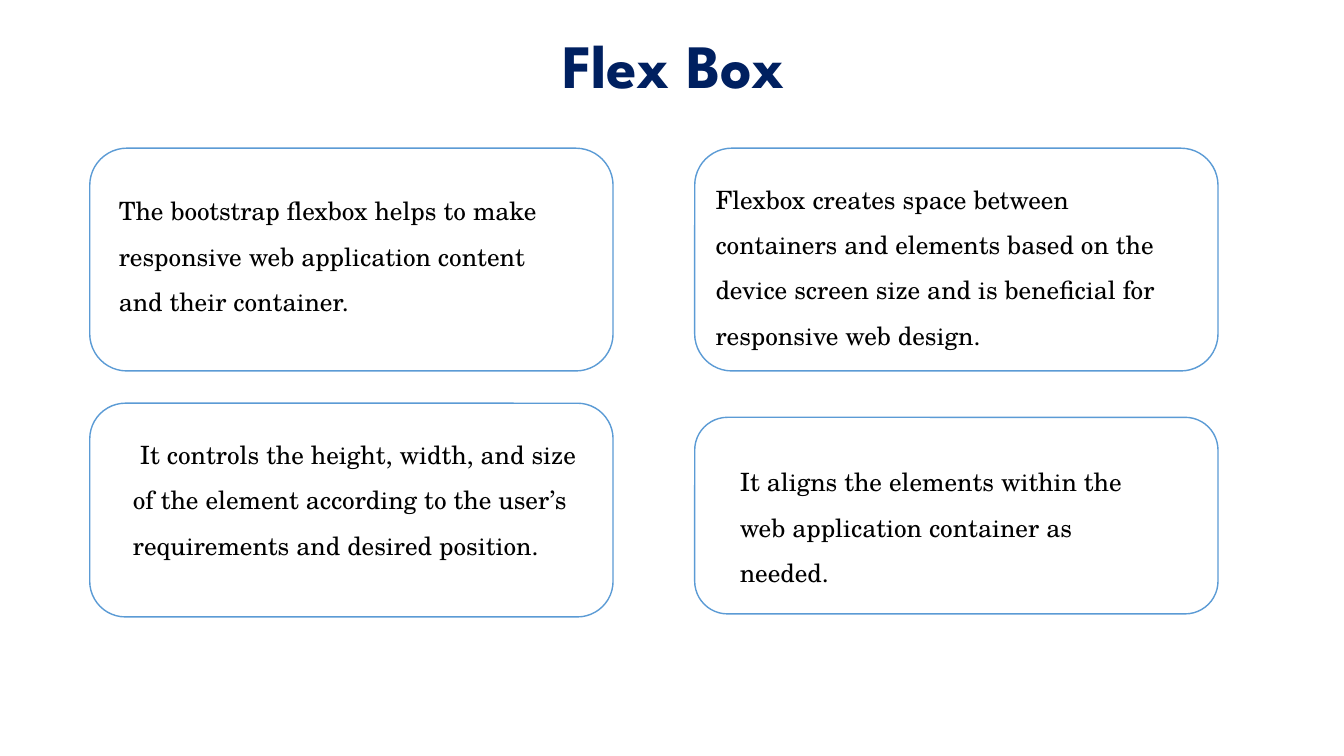
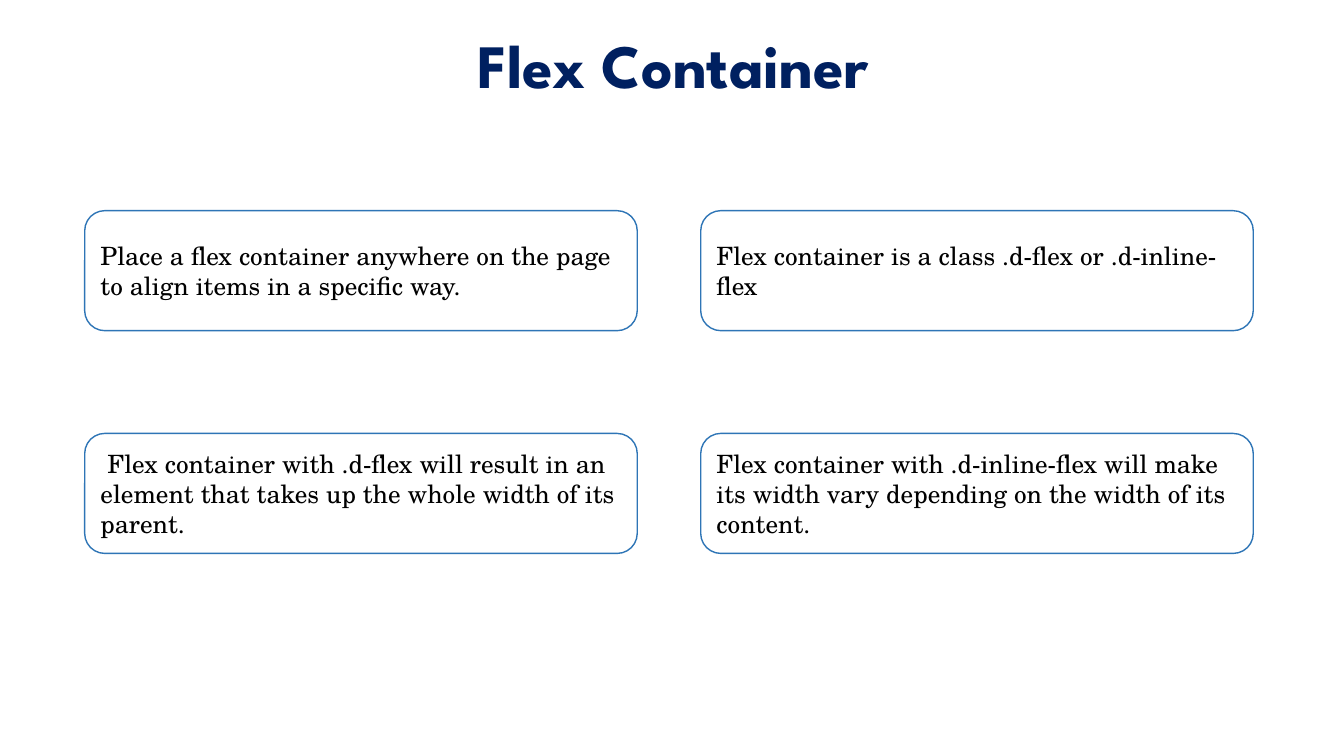
from dataclasses import dataclass

from pptx import Presentation
from pptx.dml.color import RGBColor
from pptx.enum import shapes, text
from pptx.util import Inches, Pt


@dataclass(frozen=True)
class Theme:
    title_font: str = "League Spartan"
    body_font: str = "TeX Gyre Schola"
    title_size: int = 44
    body_size: int = 18
    navy: str = "002060"
    ink: str = "000000"
    white: str = "FFFFFF"
    light_blue: str = "5B9BD5"
    blue: str = "2E75B6"
    line_width: int = 1


THEME = Theme()
TITLE_BOX = (1.68, 0.22, 10, 0.84)


def rgb(value):
    return RGBColor.from_string(value)


def write(sp, words, *, font=THEME.body_font, size=THEME.body_size, color=THEME.ink,
          bold=False, align=text.PP_ALIGN.LEFT, anchor=text.MSO_ANCHOR.TOP, spacing=1.0):
    tf = sp.text_frame
    tf.word_wrap = True
    tf.vertical_anchor = anchor
    p = tf.paragraphs[0]
    p.alignment = align
    p.line_spacing = spacing
    r = p.add_run()
    r.text = words
    r.font.name = font
    r.font.size = Pt(size)
    r.font.bold = bold
    r.font.color.rgb = rgb(color)


def add_text(slide, box, words, **fmt):
    sp = slide.shapes.add_textbox(*map(Inches, box))
    write(sp, words, **fmt)
    return sp


def add_card(slide, box, line, fill=None):
    sp = slide.shapes.add_shape(shapes.MSO_SHAPE.ROUNDED_RECTANGLE, *map(Inches, box))
    sp.shadow.inherit = False
    if fill:
        sp.fill.solid()
        sp.fill.fore_color.rgb = rgb(fill)
    else:
        sp.fill.background()
    sp.line.color.rgb = rgb(line)
    sp.line.width = Pt(THEME.line_width)
    return sp


def add_titled_slide(prs, title):
    slide = prs.slides.add_slide(prs.slide_layouts[6])
    sp = add_text(slide, TITLE_BOX, title, font=THEME.title_font, size=THEME.title_size,
                  color=THEME.navy, bold=True, align=text.PP_ALIGN.CENTER)
    sp.text_frame.auto_size = text.MSO_AUTO_SIZE.SHAPE_TO_FIT_TEXT
    return slide


def flex_box_slide(prs):
    slide = add_titled_slide(prs, "Flex Box")
    left, right, width = 0.89, 6.89, 5.19
    # card box, words, text box offset and size within the card (None: text in the card)
    cards = [
        ((left, 1.47, width, 2.21),
         "The bootstrap flexbox helps to make responsive web application content "
         "and their container.",
         (0.19, 0.27, 4.62, 1.6)),
        ((left, 4, width, 2.12),
         " It controls the height, width, and size of the element according to the "
         "user’s requirements and desired position.",
         (0.33, 0.16, 4.73, 1.81)),
        ((right, 1.47, width, 2.21),
         "Flexbox creates space between containers and elements based on the device "
         "screen size and is beneficial for responsive web design.",
         None),
        ((right, 4.14, width, 1.95),
         "It aligns the elements within the web application container as needed.",
         (0.35, 0.29, 4.44, 1.25)),
    ]
    for box, words, inner in cards:
        card = add_card(slide, box, THEME.light_blue)
        if inner:
            dx, dy, w, h = inner
            add_text(slide, (box[0] + dx, box[1] + dy, w, h), words, spacing=1.5)
        else:
            write(card, words, anchor=text.MSO_ANCHOR.MIDDLE, spacing=1.5)


def flex_container_slide(prs):
    slide = add_titled_slide(prs, "Flex Container")
    left, top, width, height = 0.84, 2.09, 5.48, 1.19
    column_step, row_step = 6.11, 2.21
    cards = [
        "Place a flex container anywhere on the page to align items in a specific way.",
        "Flex container is a class .d-flex or .d-inline-flex",
        " Flex container with .d-flex will result in an element that takes up the whole "
        "width of its parent.",
        "Flex container with .d-inline-flex will make its width vary depending on the "
        "width of its content.",
    ]
    for i, words in enumerate(cards):
        row, column = divmod(i, 2)
        box = (left + column * column_step, top + row * row_step, width, height)
        card = add_card(slide, box, THEME.blue, fill=THEME.white)
        write(card, words, anchor=text.MSO_ANCHOR.MIDDLE)


def main():
    prs = Presentation()
    prs.slide_width, prs.slide_height = Inches(13.33), Inches(7.5)
    flex_box_slide(prs)
    flex_container_slide(prs)
    prs.save("out.pptx")


if __name__ == "__main__":
    main()
